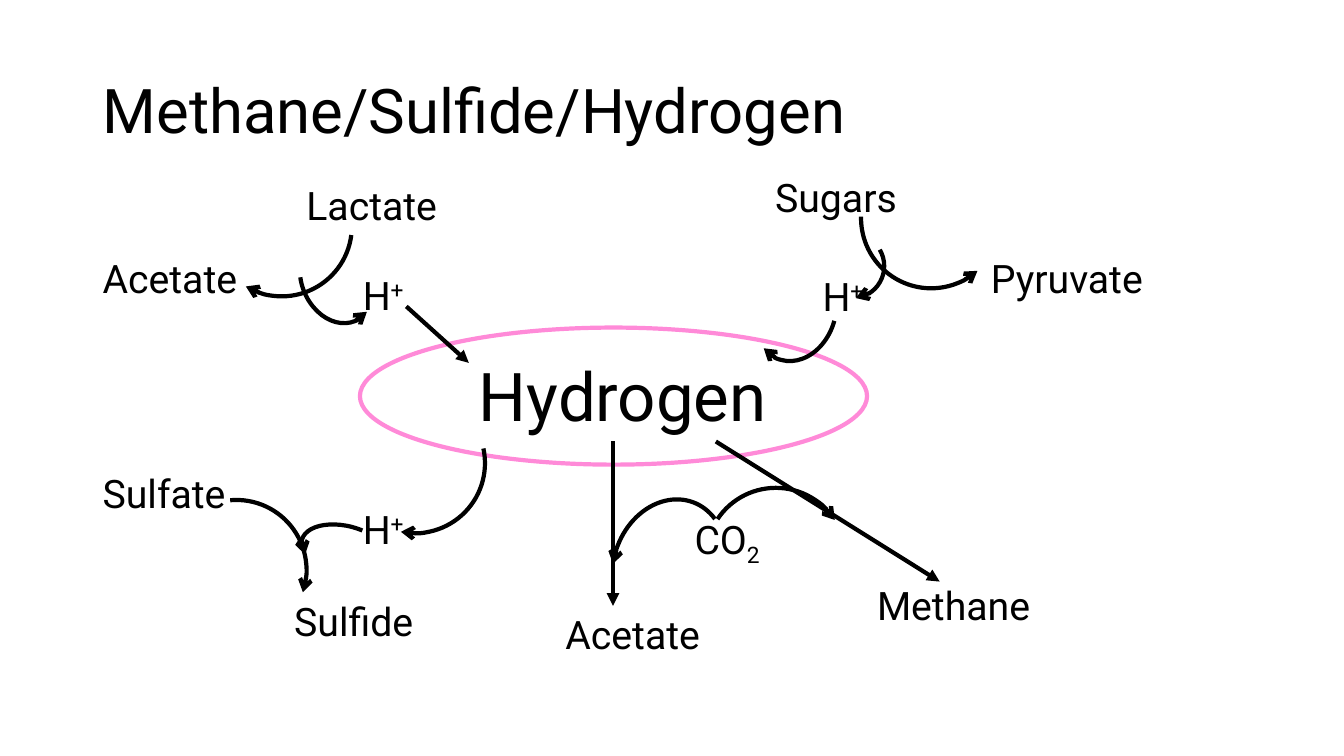
from dataclasses import dataclass

from lxml.etree import SubElement
from pptx import Presentation
from pptx.dml.color import RGBColor
from pptx.dml.line import LineFormat
from pptx.enum.shapes import MSO_CONNECTOR as Link, MSO_SHAPE as Preset
from pptx.enum.text import MSO_ANCHOR as Anchor, MSO_AUTO_SIZE as AutoSize
from pptx.oxml.ns import qn
from pptx.shapes.autoshape import Shape
from pptx.slide import Slide
from pptx.util import Pt

EMU_PER_PX = 9144
BLACK, PINK = "000000", "FF8AD8"
FONT = "Roboto"
QUARTER, LONG = 162, 150.56
ARC_END = 14.16


@dataclass
class Label:
    text: str
    left: int
    top: int
    width: int
    height: int = 57
    size: int = 28
    mark: str = ""
    baseline: int = 0


@dataclass
class Curve:
    left: int
    top: int
    width: int
    height: int
    rotation: float
    start: float = QUARTER
    arrow_end: str = "tailEnd"


@dataclass
class Arrow:
    x1: int
    y1: int
    x2: int
    y2: int


TITLE = Label("Methane/Sulfide/Hydrogen", 92, 40, 1150, 145, 44)
LABELS = [
    Label("Hydrogen", 465, 347, 360, 91, 48),
    Label("Lactate", 294, 175, 182),
    Label("Acetate", 92, 247, 190),
    Label("H", 350, 264, 64, mark="+", baseline=30),
    Label("Sulfate", 92, 461, 156),
    Label("Sulfide", 282, 588, 180),
    Label("H", 350, 496, 64, mark="+", baseline=30),
    Label("CO", 679, 506, 90, mark="2", baseline=-25),
    Label("Acetate", 551, 601, 231),
    Label("Methane", 860, 572, 248),
    Label("Sugars", 759, 167, 214),
    Label("H", 806, 265, 64, mark="+", baseline=30),
    Label("Pyruvate", 973, 247, 214),
]
CURVES = [
    Curve(210, 155, 139, 139, 97.2),
    Curve(165, 496, 139, 139, 354.9),
    Curve(854, 147, 139, 139, 157.7, LONG, "headEnd"),
    Curve(299, 230, 71, 92, 157.7, LONG, "headEnd"),
    Curve(318, 502, 50, 90, 284.8, LONG, "headEnd"),
    Curve(342, 390, 139, 139, 77.9),
    Curve(597, 506, 134, 110, 290.7, LONG, "headEnd"),
    Curve(700, 484, 139, 139, 303.6),
    Curve(737, 267, 103, 81, 105.6),
    Curve(813, 232, 64, 64, 59.5),
]
ARROWS = [
    Arrow(403, 304, 465, 360),
    Arrow(608, 438, 608, 601),
    Arrow(710, 438, 932, 577),
]


def px(*lengths: int) -> list[int]:
    """Turn px lengths into EMU."""
    return [length * EMU_PER_PX for length in lengths]


def rgb(color: str) -> RGBColor:
    """Turn a hex string into a colour."""
    return RGBColor.from_string(color)


def style_line(line: LineFormat, color: str, arrow_end: str = "", arrow: str = "") -> None:
    """Set colour and weight, and an arrowhead if one is named."""
    line.color.rgb = rgb(color)
    line.width = Pt(3)
    if arrow_end:
        SubElement(line._get_or_add_ln(), qn(f"a:{arrow_end}"), type=arrow)


def add_label(slide: Slide, label: Label) -> Shape:
    """Add a text with its raised or lowered mark."""
    box = slide.shapes.add_textbox(*px(label.left, label.top, label.width, label.height))
    frame = box.text_frame
    frame.word_wrap = True
    paragraph = frame.paragraphs[0]
    paragraph.add_run().text = label.text
    if label.mark:
        mark = paragraph.add_run()
        mark.text = label.mark
        mark._r.get_or_add_rPr().set("baseline", str(label.baseline * 1000))
    font = paragraph.font
    font.name, font.size = FONT, Pt(label.size)
    font.color.rgb = rgb(BLACK)
    return box


def add_outline(slide: Slide, preset: Preset, *bounds: int) -> Shape:
    """Add an unfilled shape without shadow."""
    outline = slide.shapes.add_shape(preset, *px(*bounds))
    outline.shadow.inherit = False
    outline.fill.background()
    return outline


def add_curve(slide: Slide, curve: Curve) -> None:
    """Add a curved reaction arrow."""
    arc = add_outline(slide, Preset.ARC, curve.left, curve.top, curve.width, curve.height)
    arc.adjustments[0] = curve.start
    arc.adjustments[1] = ARC_END
    arc.rotation = curve.rotation
    style_line(arc.line, BLACK, curve.arrow_end, "arrow")


def add_arrow(slide: Slide, arrow: Arrow) -> None:
    """Add a straight reaction arrow."""
    link = slide.shapes.add_connector(
        Link.STRAIGHT, *px(arrow.x1, arrow.y1, arrow.x2, arrow.y2))
    style_line(link.line, BLACK, "tailEnd", "triangle")
    SubElement(link._element.spPr, qn("a:effectLst"))


def main() -> None:
    """Build the hydrogen pathway slide."""
    deck = Presentation()
    deck.slide_width, deck.slide_height = px(1333, 750)
    slide = deck.slides.add_slide(deck.slide_layouts[6])

    title = add_label(slide, TITLE).text_frame
    title.vertical_anchor = Anchor.MIDDLE
    title.paragraphs[0].line_spacing = 0.9

    hydrogen_pool = add_outline(slide, Preset.OVAL, 357, 325, 503, 136)
    style_line(hydrogen_pool.line, PINK)
    for label in LABELS:
        add_label(slide, label).text_frame.auto_size = AutoSize.SHAPE_TO_FIT_TEXT
    for curve in CURVES:
        add_curve(slide, curve)
    for arrow in ARROWS:
        add_arrow(slide, arrow)
    deck.save("out.pptx")


if __name__ == "__main__":
    main()
